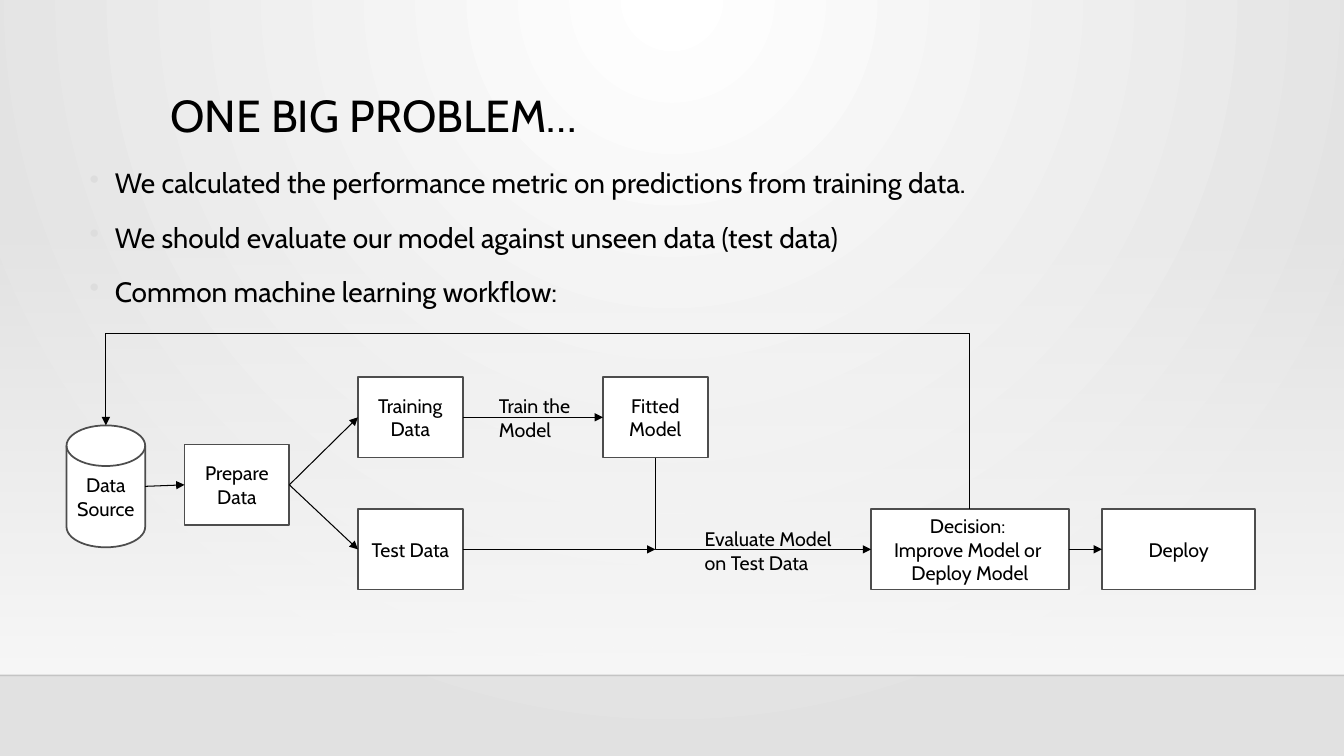
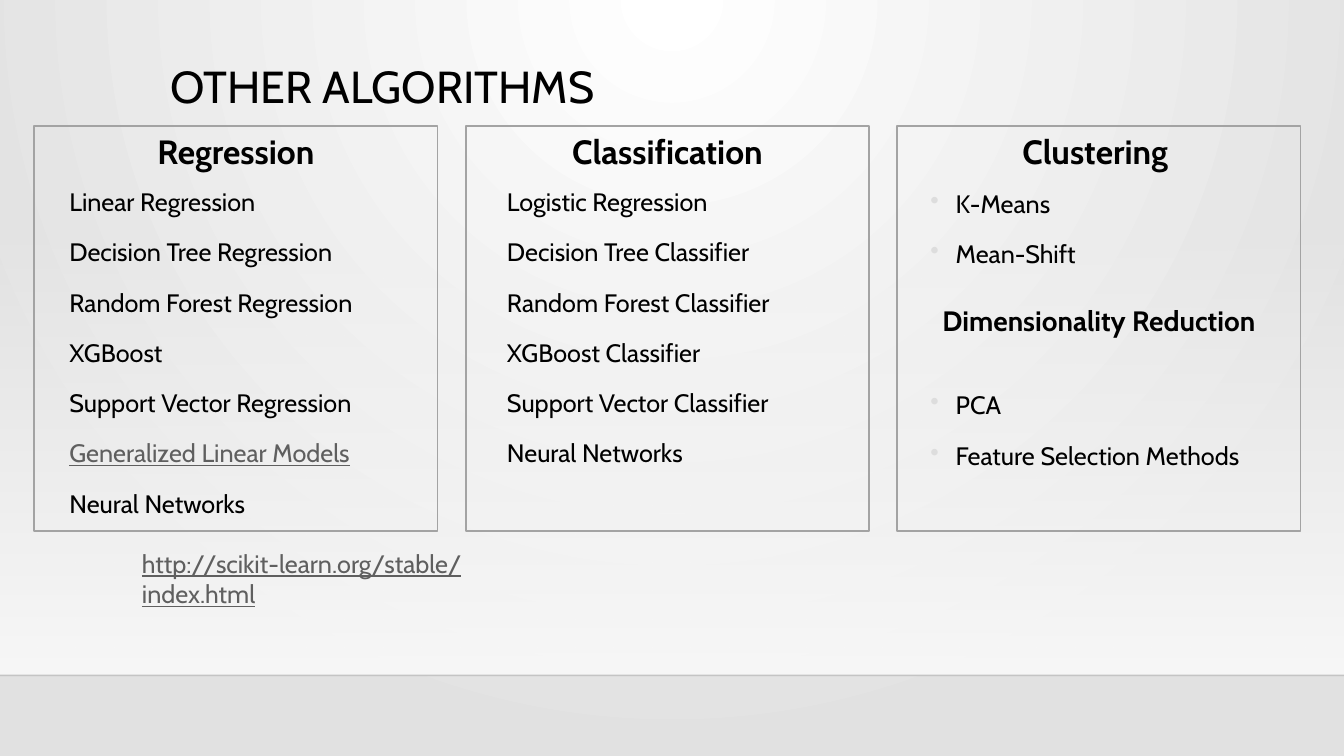
import lxml.etree
import pptx
import pptx.dml.color
import pptx.enum.shapes
import pptx.enum.text
import pptx.oxml.ns
import pptx.util

Inches = pptx.util.Inches
Pt = pptx.util.Pt
qn = pptx.oxml.ns.qn
SHAPE = pptx.enum.shapes.MSO_SHAPE
CONNECTOR = pptx.enum.shapes.MSO_CONNECTOR
ALIGN = pptx.enum.text.PP_ALIGN
ANCHOR = pptx.enum.text.MSO_ANCHOR

COLORS = {
    "text": "000000",
    "paper": "FFFFFF",
    "backdrop": "E1E1E1",
    "glow": "F8F8F8",
    "bullet": "DDDDDD",
    "outline": "4D4D4D",
    "frame": "A3A3A3",
    "link": "5F5F5F",
}
FONT = "Cabin"
WIDTH, HEIGHT, FLOOR = 13.33, 7.5, 6.7

TITLE = {"line_spacing": 0.9}
ITEM = {"line_spacing": 1.2, "space_before": Pt(10)}
CENTERED = {"alignment": ALIGN.CENTER}


def color(name):
    return pptx.dml.color.RGBColor.from_string(COLORS[name])


def add_xml(parent, tag, **attributes):
    return lxml.etree.SubElement(parent, qn(tag), attributes)


def apply(target, formats):
    for name, value in formats.items():
        setattr(target, name, value)


def point(shape, across, down):
    """Point on a shape, given as fractions of its width and height."""
    return (shape.left + shape.width * across) / Inches(1), (shape.top + shape.height * down) / Inches(1)


class Deck:
    def __init__(self):
        self.presentation = pptx.Presentation()
        apply(self.presentation, {"slide_width": Inches(WIDTH), "slide_height": Inches(HEIGHT)})
        self.slide = None

    def new_slide(self, title, title_top):
        self.slide = self.presentation.slides.add_slide(self.presentation.slide_layouts[6])
        # Radial background, spreading from the top centre
        self.gradient(self.slide.background.fill, "paper", "backdrop")
        radial = next(self.slide.element.iter(qn("a:gradFill")))
        radial.remove(radial.find(qn("a:lin")))
        circle = add_xml(radial, "a:path", path="circle")
        add_xml(circle, "a:fillToRect", l="43000", t="0", r="43000", b="100000")
        # Wall that fades in towards the floor line
        wall = self.shape(SHAPE.RECTANGLE, 0, 2.21, WIDTH, FLOOR - 2.21)
        self.gradient(wall.fill, "glow", "glow")
        wall.fill.gradient_angle = 270
        add_xml(next(wall.element.iter(qn("a:srgbClr"))), "a:alpha", val="0")
        floor = self.line((0, FLOOR), (WIDTH, FLOOR), weight=1, arrow=False)
        add_xml(next(floor.element.iter(qn("a:srgbClr"))), "a:alpha", val="20000")
        self.text([title], 1.59, title_top, 10.5, 1.15, 32, TITLE)

    def gradient(self, fill, start, end):
        fill.gradient()
        for stop, name in zip(fill.gradient_stops, (start, end)):
            stop.color.rgb = color(name)

    def shape(self, preset, left, top, width, height, fill=None, outline=None):
        shape = self.slide.shapes.add_shape(preset, *map(Inches, (left, top, width, height)))
        shape.shadow.inherit = False
        if fill:
            shape.fill.solid()
            shape.fill.fore_color.rgb = color(fill)
        else:
            shape.fill.background()
        if outline:
            shape.line.color.rgb = color(outline)
            shape.line.width = Pt(1.25)
        else:
            shape.line.fill.background()
        return shape

    def node(self, label, left, top, width, height=0.8, preset=SHAPE.RECTANGLE):
        node = self.shape(preset, left, top, width, height, "paper", "outline")
        apply(node.text_frame, {"word_wrap": True, "vertical_anchor": ANCHOR.MIDDLE})
        self.set_lines(node.text_frame, label.split("\n"), 14, CENTERED)
        return node

    def text(self, lines, left, top, width, height, size, formats=None, **look):
        box = self.slide.shapes.add_textbox(*map(Inches, (left, top, width, height)))
        box.text_frame.word_wrap = True
        self.set_lines(box.text_frame, lines, size, formats or {}, **look)
        return box.text_frame.paragraphs

    def set_lines(self, frame, lines, size, formats, bold=False, link=False, bullets=False):
        for index, line in enumerate(lines):
            paragraph = frame.add_paragraph() if index else frame.paragraphs[0]
            apply(paragraph, formats)
            run = paragraph.add_run()
            run.text = line
            apply(run.font, {"name": FONT, "size": Pt(size), "bold": bold})
            run.font.color.rgb = color("text")
            if link:
                self.link_style(run)
            if bullets:
                self.bullet(paragraph)

    def link_style(self, run):
        run.font.underline = True
        run.font.color.rgb = color("link")

    def bullet(self, paragraph):
        properties = paragraph._p.get_or_add_pPr()
        properties.set("marL", str(Inches(0.25)))
        properties.set("indent", str(-Inches(0.25)))
        add_xml(add_xml(properties, "a:buClr"), "a:srgbClr", val=COLORS["bullet"])
        add_xml(properties, "a:buChar", char="•")

    def line(self, start, end, kind=CONNECTOR.STRAIGHT, weight=0.75, arrow=True):
        line = self.slide.shapes.add_connector(kind, *map(Inches, (*start, *end)))
        line.line.color.rgb = color("text")
        line.line.width = Pt(weight)
        properties = line.element.spPr
        if arrow:
            add_xml(properties.find(qn("a:ln")), "a:tailEnd", type="triangle")
        add_xml(properties, "a:effectLst")
        return line

    def elbow(self, start, end, preset, bend=None):
        """Elbow that leaves vertically: laid out on its side, then turned by 270 degrees."""
        (x1, y1), (x2, y2) = start, end
        middle_x, middle_y = (x1 + x2) / 2, (y1 + y2) / 2
        half_x, half_y = (y1 - y2) / 2, (x2 - x1) / 2
        elbow = self.line((middle_x - half_x, middle_y - half_y),
                          (middle_x + half_x, middle_y + half_y), CONNECTOR.ELBOW)
        elbow.element.spPr.find(qn("a:xfrm")).set("rot", "16200000")
        geometry = elbow.element.spPr.find(qn("a:prstGeom"))
        geometry.set("prst", preset)
        if bend:
            add_xml(geometry.find(qn("a:avLst")), "a:gd", name="adj1", fmla=f"val {round(bend * 100000)}")


def workflow_slide(deck):
    deck.new_slide("ONE BIG PROBLEM…", 0.88)
    deck.text(["We calculated the performance metric on predictions from training data.",
               "We should evaluate our model against unseen data (test data)",
               "Common machine learning workflow:"],
              0.79, 1.53, 11.92, 1.7, 20, ITEM, bullets=True)

    # Workflow steps
    upper, lower, step = 3.74, 5.05, 1.04
    source = deck.node("Data Source", 0.66, 4.22, 0.78, 1.21, SHAPE.FLOWCHART_MAGNETIC_DISK)
    prepare = deck.node("Prepare Data", 1.83, 4.41, step)
    training = deck.node("Training Data", 3.55, upper, step)
    test = deck.node("Test Data", 3.55, lower, step)
    fitted = deck.node("Fitted Model", 5.98, upper, step)
    decision = deck.node("Decision: \nImprove Model or \nDeploy Model", 8.64, lower, 1.96)
    deploy = deck.node("Deploy", 10.93, lower, 1.52)

    # Flow from left to right
    for before, after in ((source, prepare), (prepare, training), (prepare, test),
                          (training, fitted), (decision, deploy)):
        deck.line(point(before, 1, 0.5), point(after, 0, 0.5))
    merge = point(fitted, 0.5, 1)[0], point(test, 1, 0.5)[1]
    deck.line(point(test, 1, 0.5), merge)
    deck.elbow(point(fitted, 0.5, 1), point(decision, 0, 0.5), "bentConnector2")
    # Loop back to the data
    deck.elbow(point(decision, 0.5, 0), point(source, 0.5, 0), "bentConnector3", 2.1)

    # Captions on the arrows
    deck.text(["Train the", "Model"], 4.85, 3.86, 1.1, 0.57, 14)
    deck.text(["Evaluate Model", "on Test Data"], 6.89, 5.18, 1.66, 0.57, 14)


def algorithms_slide(deck):
    deck.new_slide("OTHER ALGORITHMS", 0.59)

    # Three framed families: heading, list place, bullets, methods
    families = (
        ("Regression", 0.59, 1.74, False,
         ["Linear Regression", "Decision Tree Regression", "Random Forest Regression", "XGBoost",
          "Support Vector Regression", "Generalized Linear Models", "Neural Networks"]),
        ("Classification", 4.93, 1.74, False,
         ["Logistic Regression", "Decision Tree Classifier", "Random Forest Classifier",
          "XGBoost Classifier", "Support Vector Classifier", "Neural Networks"]),
        ("Clustering ", 9.13, 1.76, True,
         ["K-Means", "Mean-Shift", "PCA", "Feature Selection Methods"]),
    )
    methods = {}
    for index, (heading, left, top, bullets, names) in enumerate(families):
        frame_left = 0.34 + 4.28 * index
        deck.shape(SHAPE.RECTANGLE, frame_left, 1.25, 4, 4.02, outline="frame")
        deck.text([heading], frame_left, 1.25, 4, 0.5, 24, CENTERED, bold=True)
        paragraphs = deck.text(names, left, top, 3.69, 3.5, 18, ITEM, bullets=bullets)
        methods.update(zip(names, paragraphs))
    deck.link_style(methods["Generalized Linear Models"].runs[0])

    # Second heading inside the last frame
    methods["PCA"].space_before = Pt(82)
    deck.text(["Dimensionality Reduction"], frame_left, 2.96, 4, 0.44, 20, CENTERED, bold=True)

    # Reference
    deck.text(["http://scikit-learn.org/stable/index.html"], 1.31, 5.39, 4.14, 0.71, 18, link=True)


def main():
    deck = Deck()
    workflow_slide(deck)
    algorithms_slide(deck)
    deck.presentation.save("out.pptx")


if __name__ == "__main__":
    main()
